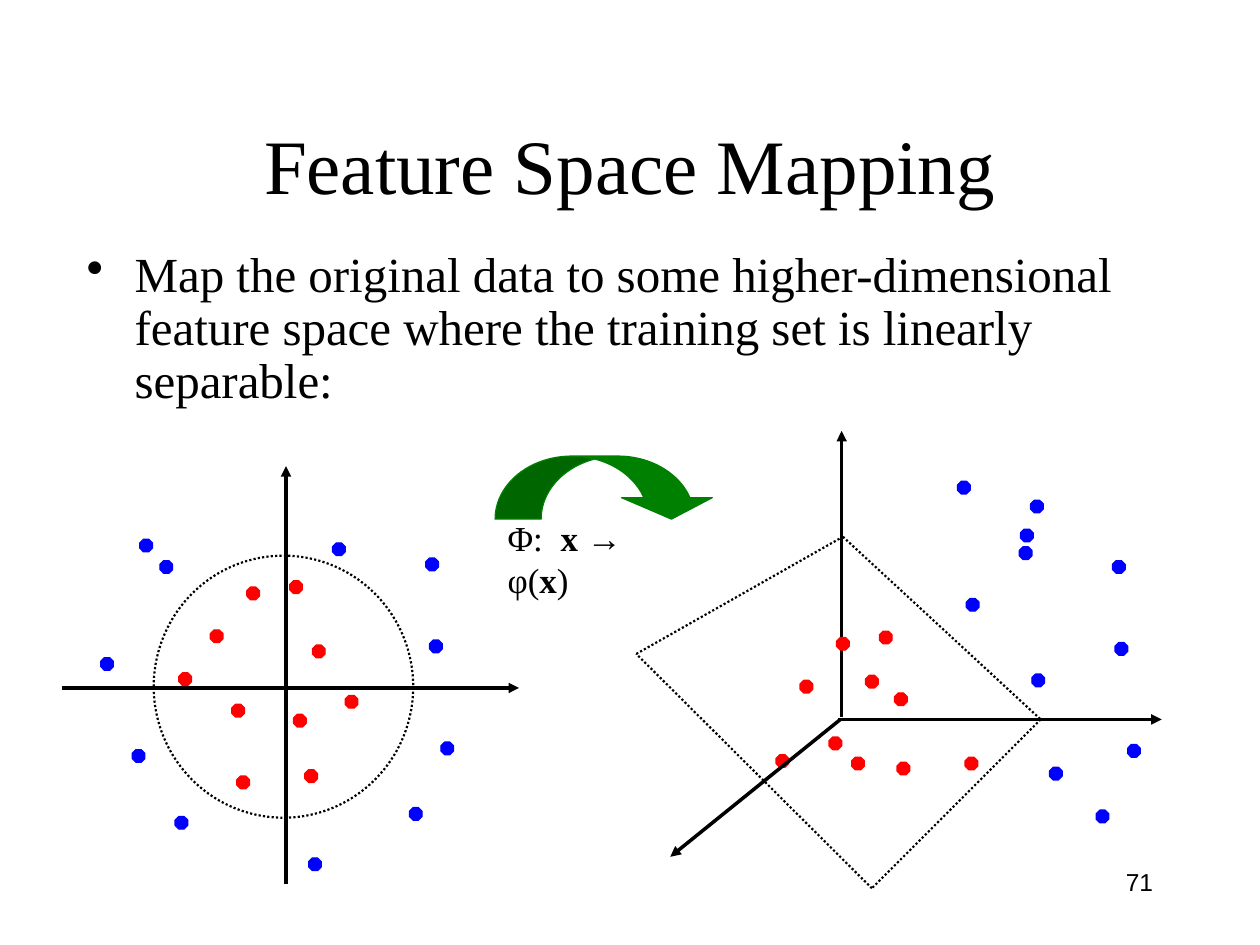
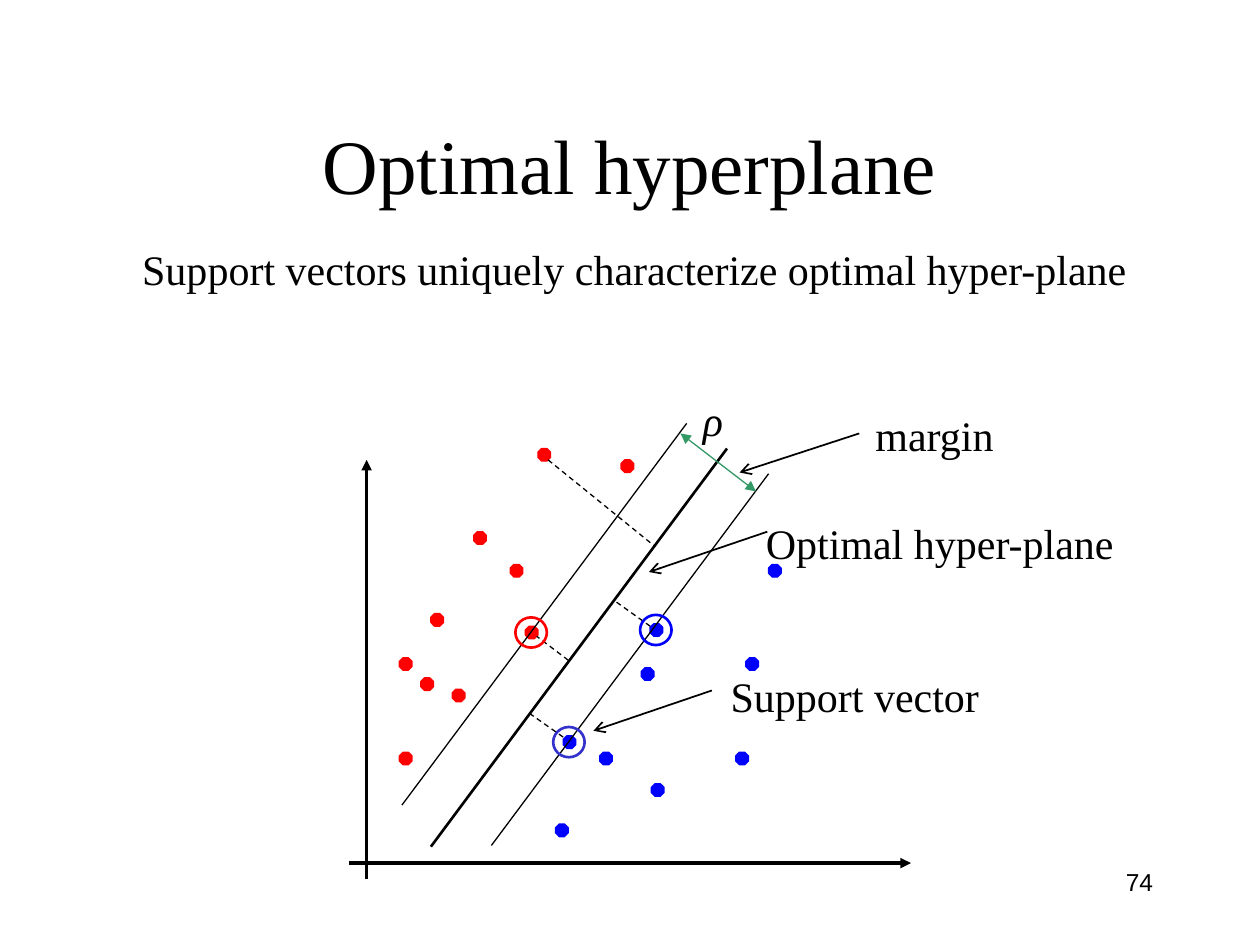
from pptx import Presentation
from pptx import util as u
from pptx.dml.color import RGBColor
from pptx.enum import dml, shapes, text
from pptx.oxml.ns import qn
from lxml import etree

PX = 9144  # EMU per px, 100 px to the inch
BLACK = RGBColor(0, 0, 0)
RED = RGBColor(255, 0, 0)
BLUE = RGBColor(0, 0, 255)
INDIGO = RGBColor(0x33, 0x33, 0xCC)
GREEN = RGBColor(0, 0x80, 0)
TEAL = RGBColor(0x33, 0x99, 0x66)
SERIF, SANS = "Times New Roman", "Arial"
DOTTED, DASHED = dml.MSO_LINE.ROUND_DOT, dml.MSO_LINE.DASH
DOT = 10

# Dot positions: left, top
CIRCLE_RED = [(230, 461), (167, 500), (184, 559), (242, 611), (196, 466),
              (142, 534), (188, 616), (248, 512), (274, 552), (233, 567)]
CIRCLE_BLUE = [(341, 508), (325, 641), (80, 522), (245, 681), (350, 589), (139, 648),
               (105, 595), (111, 428), (264, 431), (127, 445), (338, 443)]
SPACE_RED = [(698, 501), (635, 540), (676, 601), (766, 601), (664, 506),
             (687, 536), (712, 605), (710, 550), (658, 585), (616, 599)]
SPACE_BLUE = [(885, 510), (870, 643), (818, 397), (819, 535), (895, 591), (767, 475),
              (833, 609), (810, 420), (809, 434), (760, 382), (883, 445)]
MARGIN_RED = [(405, 448), (342, 487), (359, 547), (317, 597), (376, 422), (317, 522),
              (334, 538), (417, 497), (427, 356), (493, 365)]
MARGIN_BLUE = [(516, 495), (476, 597), (584, 597), (441, 654), (509, 530),
               (447, 584), (517, 622), (592, 522), (610, 448)]


def emu(*lengths):
    return [u.Emu(n * PX) for n in lengths]


def add_text(s, box, runs, size, font=SERIF, wrap=True, align=text.PP_ALIGN.LEFT,
             anchor=text.MSO_ANCHOR.TOP, bullet=None):
    """Add one paragraph; runs is a list of (words, font format) pairs."""
    tf = s.shapes.add_textbox(*emu(*box)).text_frame
    tf.word_wrap, tf.vertical_anchor = wrap, anchor
    p = tf.paragraphs[0]
    p.alignment = align
    if bullet:
        ppr = p._p.get_or_add_pPr()
        ppr.set("marL", str(38 * PX))
        ppr.set("indent", str(-38 * PX))
        p.line_spacing = 0.9
        etree.SubElement(ppr, qn("a:buChar")).set("char", bullet)
    for words, extra in runs:
        r = p.add_run()
        r.text = words
        for name, value in {"name": font, "size": u.Pt(size), **extra}.items():
            setattr(r.font, name, value)
        r.font.color.rgb = BLACK


def add_line(s, start, end, width=0.75, color=BLACK, dash=None, head=None, tail=None):
    c = s.shapes.add_connector(shapes.MSO_CONNECTOR.STRAIGHT, *emu(*start, *end))
    c.line.width, c.line.color.rgb = u.Pt(width), color
    if dash:
        c.line.dash_style = dash
    for tag, kind in (("a:headEnd", head), ("a:tailEnd", tail)):
        if kind:
            etree.SubElement(c.line._get_or_add_ln(), qn(tag)).set("type", kind)
    etree.SubElement(c._element.spPr, qn("a:effectLst"))


def add_figure(s, kind, box, color, width=0.75, filled=True, dash=None):
    sp = s.shapes.add_shape(kind, *emu(*box))
    sp.shadow.inherit = False
    if filled:
        sp.fill.solid()
        sp.fill.fore_color.rgb = color
    else:
        sp.fill.background()
    sp.line.width, sp.line.color.rgb = u.Pt(width), color
    if dash:
        sp.line.dash_style = dash
    return sp


def add_dots(s, color, points):
    for point in points:
        add_figure(s, shapes.MSO_SHAPE.OCTAGON, (*point, DOT, DOT), color)


def add_ring(s, box, color, width, dash=None):
    add_figure(s, shapes.MSO_SHAPE.OVAL, box, color, width, filled=False, dash=dash)


def add_axis(s, start, end):
    add_line(s, start, end, 2, tail="triangle")


def add_titled_slide(prs, title, number):
    s = prs.slides.add_slide(prs.slide_layouts[6])
    add_text(s, (717, 683, 208, 50), [(number, {})], 14, SANS, align=text.PP_ALIGN.RIGHT)
    add_text(s, (75, 67, 850, 125), [(title, {})], 44, align=text.PP_ALIGN.CENTER,
             anchor=text.MSO_ANCHOR.MIDDLE)
    return s


def build_mapping(prs):
    s = add_titled_slide(prs, "Feature Space Mapping", "71")
    add_text(s, (59, 194, 900, 150),
             [("Map the original data to some higher-dimensional feature space "
               "where the training set is linearly separable:", {})], 28, bullet="•")

    # Input space with circular boundary
    add_axis(s, (227, 702), (227, 370))
    add_axis(s, (49, 546), (412, 546))
    add_dots(s, RED, CIRCLE_RED)
    add_dots(s, BLUE, CIRCLE_BLUE)
    add_ring(s, (122, 441, 206, 208), BLACK, 1.25, DOTTED)

    # Feature space with separating plane
    add_axis(s, (668, 569), (668, 342))
    add_axis(s, (665, 571), (922, 571))
    add_dots(s, RED, SPACE_RED)
    add_dots(s, BLUE, SPACE_BLUE)
    add_axis(s, (667, 571), (532, 680))
    plane = [(669, 426), (826, 571), (692, 705), (505, 519)]
    for start, end in zip(plane, plane[1:] + plane[:1]):
        add_line(s, start, end, 1.25, dash=DOTTED)

    # Mapping arrow and formula
    arrow = add_figure(s, shapes.MSO_SHAPE.CURVED_DOWN_ARROW, (393, 362, 176, 50), GREEN)
    for i, value in enumerate((0.73, 1.44, 0.34)):
        arrow.adjustments[i] = value
    bold = {"bold": True}
    add_text(s, (393, 405, 165, 48),
             [("Φ:  ", {}), ("x → ", bold), ("φ(", {}), ("x", bold), (")", {})], 20)


def build_hyperplane(prs):
    s = add_titled_slide(prs, "Optimal hyperplane", "74")

    # Axes and data
    add_axis(s, (291, 698), (291, 365))
    add_axis(s, (277, 685), (723, 685))
    add_dots(s, RED, MARGIN_RED)
    add_dots(s, BLUE, MARGIN_BLUE)

    # Hyperplane, margin borders and distances
    add_line(s, (342, 672), (577, 356), 1.5)
    for start, end in [((390, 671), (610, 376)), ((319, 639), (545, 336))]:
        add_line(s, start, end)
    for start, end in [((435, 365), (519, 433)), ((516, 497), (488, 477)),
                       ((447, 585), (420, 566)), ((451, 524), (426, 505))]:
        add_line(s, start, end, dash=DASHED)

    # Support vectors
    for left, top, color in [(409, 490, RED), (439, 577, INDIGO), (508, 488, BLUE)]:
        add_ring(s, (left, top, 25, 24), color, 1.5)

    # Margin width
    add_line(s, (540, 344), (600, 390), color=TEAL, head="triangle", tail="triangle")
    add_text(s, (548, 308, 125, 50), [("ρ", {"italic": True})], 24)

    # Labels and pointers
    for start, end in [((565, 548), (471, 580)), ((682, 344), (587, 375)),
                       ((609, 422), (515, 454))]:
        add_line(s, start, end, 1, tail="arrow")
    for left, top, width, label in [
            (570, 527, 217, "Support vector"),
            (685, 320, 114, "margin"),
            (598, 406, 297, "Optimal hyper-plane"),
            (103, 188, 802, "Support vectors uniquely characterize optimal hyper-plane")]:
        add_text(s, (left, top, width, 50), [(label, {})], 24, wrap=False)


def main():
    prs = Presentation()
    prs.slide_width, prs.slide_height = emu(1000, 750)
    build_mapping(prs)
    build_hyperplane(prs)
    prs.save("out.pptx")


if __name__ == "__main__":
    main()
